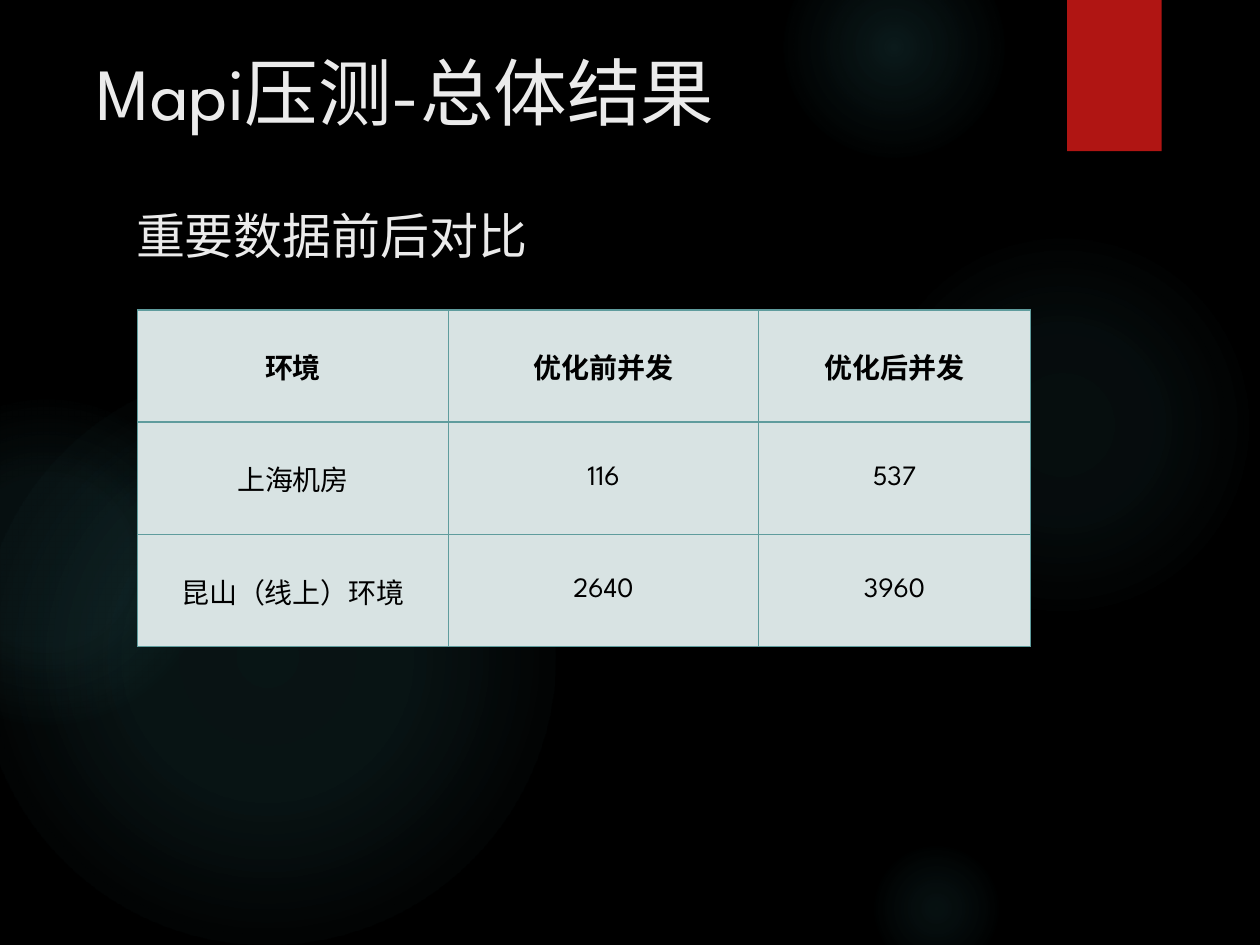
import pptx
import pptx.util
import pptx.dml.color
import pptx.enum.shapes
import pptx.enum.text
import pptx.oxml
import pptx.oxml.ns

Inches = pptx.util.Inches
Pt = pptx.util.Pt
MIDDLE = pptx.enum.text.MSO_ANCHOR.MIDDLE
TOP = pptx.enum.text.MSO_ANCHOR.TOP

FONT = "League Spartan"
COLORS = {
    "background": "000000",
    "glow": "50B9C1",
    "ribbon": "B01513",
    "heading": "EBEBEB",
    "cell": "D8E3E3",
    "border": "5F9C9D",
    "cell_text": "000000",
}
GLOWS = [
    (6.89, 1.83, 3.08, [(0, 7), (36, 6), (69, 0)]),
    (6.22, -0.5, 1.75, [(0, 14), (36, 7), (73, 0)]),
    (6.89, 6.67, 1.08, [(0, 9), (36, 5), (66, 0)]),
    (-0.17, 2.92, 4.58, [(0, 11), (36, 10), (75, 0)]),
    (-0.92, 3.17, 2.58, [(0, 8), (36, 8), (72, 0)]),
]
HEADINGS = [
    ("重要数据前后对比", 0.82, 1.58, 28, TOP, 0.26),
    ("Mapi压测-总体结果", 0.67, 0.26, 42, MIDDLE, 0.1),
]
ROWS = [
    ("环境", "优化前并发", "优化后并发"),
    ("上海机房", "116", "537"),
    ("昆山（线上）环境", "2640", "3960"),
]
COLUMN_WIDTHS = [2.47, 2.46, 2.16]
ROW_HEIGHT = 0.89
TABLE_LEFT, TABLE_TOP = 1.09, 2.46


def rgb(name):
    return pptx.dml.color.RGBColor.from_string(COLORS[name])


def xml(tag, body, attributes=""):
    namespace = pptx.oxml.ns.nsdecls("a")
    return pptx.oxml.parse_xml(f"<a:{tag} {namespace} {attributes}>{body}</a:{tag}>")


def add_shape(slide, kind, left, top, width, height):
    shape = slide.shapes.add_shape(
        kind, Inches(left), Inches(top), Inches(width), Inches(height))
    shape.shadow.inherit = False
    shape.line.fill.background()
    return shape


def add_glow(slide, left, top, size, stops):
    shape = add_shape(slide, pptx.enum.shapes.MSO_SHAPE.OVAL, left, top, size, size)
    stop_list = "".join(
        f'<a:gs pos="{position * 1000}"><a:srgbClr val="{COLORS["glow"]}">'
        f'<a:alpha val="{alpha * 1000}"/></a:srgbClr></a:gs>'
        for position, alpha in stops)
    center = '<a:fillToRect l="50000" t="50000" r="50000" b="50000"/>'
    gradient = xml(
        "gradFill",
        f'<a:gsLst>{stop_list}</a:gsLst><a:path path="circle">{center}</a:path>')
    shape.element.spPr.find(pptx.oxml.ns.qn("a:prstGeom")).addnext(gradient)


def add_ribbon(slide):
    shape = add_shape(
        slide, pptx.enum.shapes.MSO_SHAPE.RECTANGLE, 8.47, 0, 0.75, 1.2)
    shape.fill.solid()
    shape.fill.fore_color.rgb = rgb("ribbon")
    effects = shape.element.spPr.find(pptx.oxml.ns.qn("a:effectLst"))
    effects.append(xml(
        "outerShdw",
        '<a:srgbClr val="000000"><a:alpha val="45000"/></a:srgbClr>',
        f'blurRad="{Pt(3)}" dist="{Pt(2)}" dir="5400000" rotWithShape="0"'))


def add_run(paragraph, text, size, color, bold=False):
    run = paragraph.add_run()
    run.text = text
    run.font.size = Pt(size)
    run.font.name = FONT
    run.font.bold = bold
    run.font.color.rgb = rgb(color)


def add_heading(slide, text, left, top, size, anchor, margin):
    shape = slide.shapes.add_textbox(
        Inches(left), Inches(top), Inches(9), Inches(0.92))
    frame = shape.text_frame
    frame.word_wrap = True
    frame.vertical_anchor = anchor
    frame.margin_left = Inches(margin)
    add_run(frame.paragraphs[0], text, size, "heading")


def style_cell(cell, text, bold):
    cell.vertical_anchor = MIDDLE
    cell.margin_left = cell.margin_top = cell.margin_right = Inches(0.01)
    cell.margin_bottom = 0
    paragraph = cell.text_frame.paragraphs[0]
    paragraph.alignment = pptx.enum.text.PP_ALIGN.CENTER
    add_run(paragraph, text, 16, "cell_text", bold)
    properties = cell._tc.get_or_add_tcPr()
    for side in ("lnL", "lnR", "lnT", "lnB"):
        properties.append(xml(
            side,
            f'<a:solidFill><a:srgbClr val="{COLORS["border"]}"/></a:solidFill>',
            f'w="{Pt(0.75)}"'))
    cell.fill.solid()
    cell.fill.fore_color.rgb = rgb("cell")


def add_results(slide):
    table = slide.shapes.add_table(
        len(ROWS), len(COLUMN_WIDTHS), Inches(TABLE_LEFT), Inches(TABLE_TOP),
        Inches(sum(COLUMN_WIDTHS)), Inches(ROW_HEIGHT * len(ROWS))).table
    table.horz_banding = False
    for column, width in zip(table.columns, COLUMN_WIDTHS):
        column.width = Inches(width)
    for row_index, values in enumerate(ROWS):
        table.rows[row_index].height = Inches(ROW_HEIGHT)
        for column_index, text in enumerate(values):
            style_cell(table.cell(row_index, column_index), text, row_index == 0)


def main():
    presentation = pptx.Presentation()
    presentation.slide_width = Inches(10)
    presentation.slide_height = Inches(7.5)
    slide = presentation.slides.add_slide(presentation.slide_layouts[6])
    slide.background.fill.solid()
    slide.background.fill.fore_color.rgb = rgb("background")
    for glow in GLOWS:
        add_glow(slide, *glow)
    add_ribbon(slide)
    for heading in HEADINGS:
        add_heading(slide, *heading)
    add_results(slide)
    presentation.save("out.pptx")


if __name__ == "__main__":
    main()
